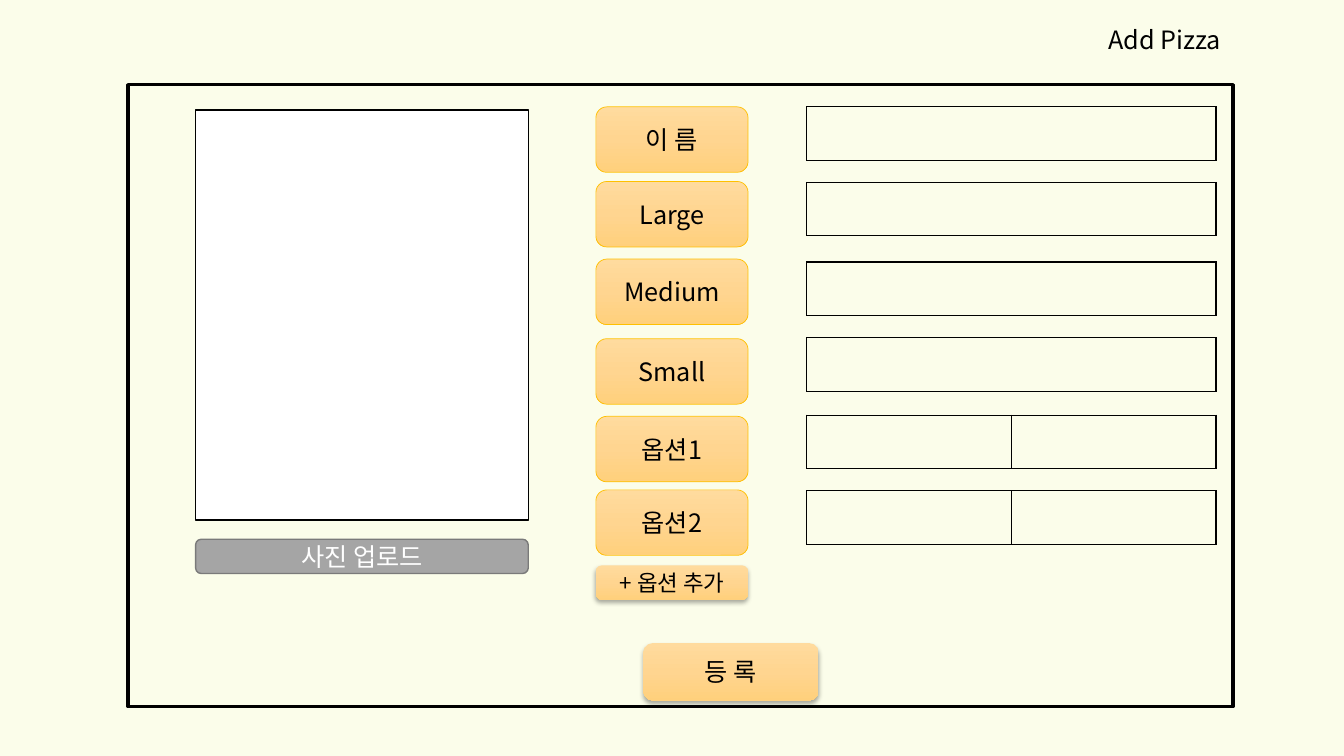
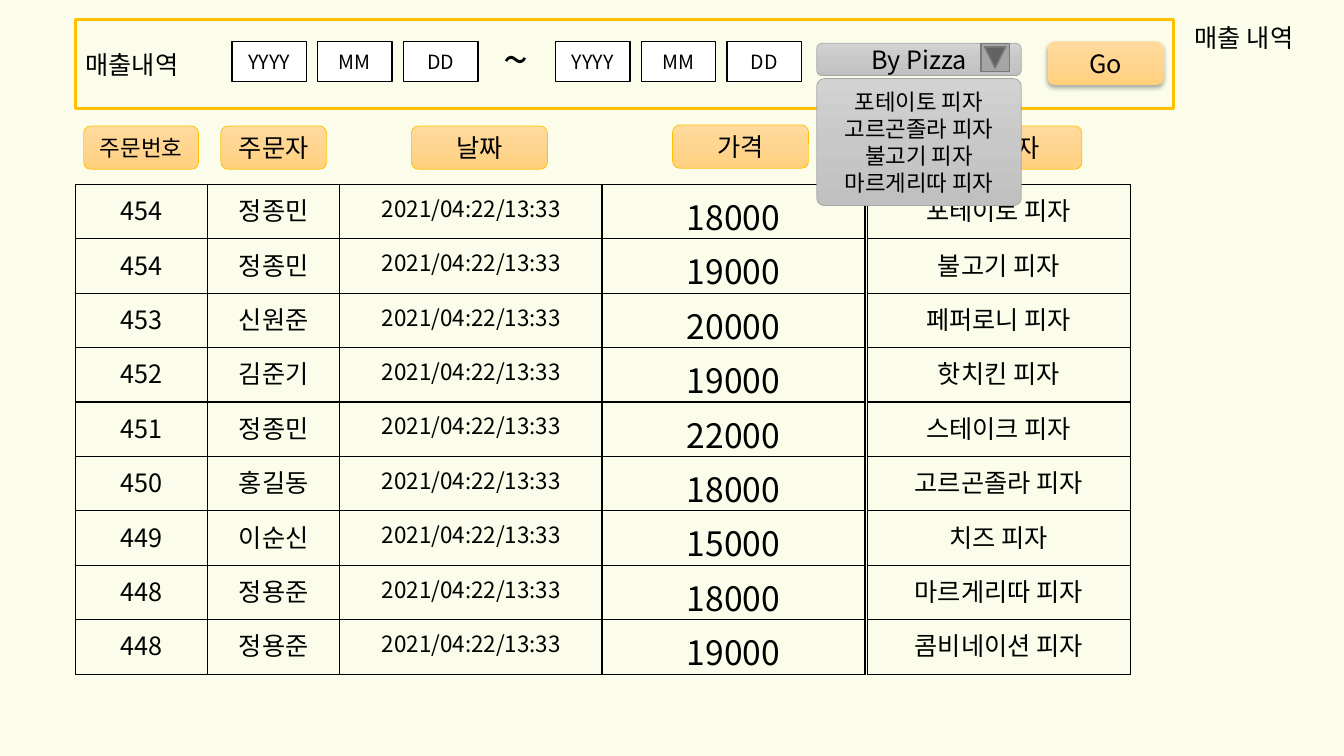
from dataclasses import dataclass
from typing import NamedTuple

from lxml.etree import SubElement
from pptx import Presentation
from pptx.dml.color import RGBColor
from pptx.enum.shapes import MSO_SHAPE
from pptx.enum.text import MSO_ANCHOR, MSO_AUTO_SIZE, PP_ALIGN
from pptx.oxml.ns import qn
from pptx.shapes.autoshape import Shape
from pptx.slide import Slide
from pptx.table import Table, _Cell
from pptx.text.text import TextFrame
from pptx.util import Inches, Pt


@dataclass(frozen=True)
class Theme:
    font: str = "Noto Sans CJK KR"
    page: str = "FBFDEA"
    ink: str = "000000"
    paper: str = "FFFFFF"
    gold: str = "FFC000"
    gray: str = "A5A5A5"
    gray_edge: str = "7A7A7A"
    gold_fade: tuple[str, ...] = ("FFDB9E", "FFD590", "FFD07C")
    gray_fade: tuple[str, ...] = ("D2D2D2", "C8C8C8", "C0C0C0")
    tiny: int = 14
    small: int = 16
    body: int = 18
    price: int = 24
    tilde: int = 32


THEME = Theme()


class Area(NamedTuple):
    left: float
    top: float
    width: float
    height: float

    def emu(self) -> tuple[int, ...]:
        return tuple(Inches(length) for length in self)


class FormRow(NamedTuple):
    label: str
    label_top: float
    field_top: float
    field_count: int = 1


class Heading(NamedTuple):
    text: str
    area: Area
    size: int = THEME.body


class Order(NamedTuple):
    number: str
    customer: str
    price: str
    pizza: str


FORM_ROWS = (
    FormRow("이 름", 1.06, 1.06),
    FormRow("Large", 1.8, 1.81),
    FormRow("Medium", 2.57, 2.6),
    FormRow("Small", 3.36, 3.35),
    FormRow("옵션1", 4.13, 4.12, 2),
    FormRow("옵션2", 4.86, 4.87, 2),
)

HEADINGS = (
    Heading("주문번호", Area(0.83, 1.25, 1.14, 0.43), THEME.small),
    Heading("주문자", Area(2.19, 1.25, 1.05, 0.43)),
    Heading("날짜", Area(4.08, 1.25, 1.35, 0.43)),
    Heading("가격", Area(6.67, 1.24, 1.35, 0.43)),
    Heading("피 자", Area(9.38, 1.25, 1.35, 0.43)),
)

ORDER_TIME = "2021/04:22/13:33"
ORDERS = (
    Order("454", "정종민", "18000", "포테이토 피자"),
    Order("454", "정종민", "19000", "불고기 피자"),
    Order("453", "신원준", "20000", "페퍼로니 피자"),
    Order("452", "김준기", "19000", "핫치킨 피자"),
    Order("451", "정종민", "22000", "스테이크 피자"),
    Order("450", "홍길동", "18000", "고르곤졸라 피자"),
    Order("449", "이순신", "15000", "치즈 피자"),
    Order("448", "정용준", "18000", "마르게리따 피자"),
    Order("448", "정용준", "19000", "콤비네이션 피자"),
)
PIZZA_CHOICES = ("포테이토 피자", "고르곤졸라 피자", "불고기 피자", "마르게리따 피자")


# Shared text, shape and table helpers
def write(frame: TextFrame, text: str, *, size: int = THEME.body,
          color: str = THEME.ink, align: PP_ALIGN = PP_ALIGN.CENTER,
          anchor: MSO_ANCHOR | None = MSO_ANCHOR.MIDDLE, wrap: bool = True) -> None:
    frame.word_wrap = wrap
    if anchor is not None:
        frame.vertical_anchor = anchor
    frame.text = text
    for paragraph in frame.paragraphs:
        paragraph.alignment = align
        for run in paragraph.runs:
            run.font.size = Pt(size)
            run.font.color.rgb = RGBColor.from_string(color)
            run.font.name = THEME.font
            SubElement(run.font._element, qn("a:ea"), typeface=THEME.font)


def fade(shape: Shape, colors: tuple[str, ...]) -> None:
    shape.fill.gradient()
    shape.fill.gradient_angle = 270
    stops = shape._element.spPr.find(".//" + qn("a:gsLst"))
    stops.clear()
    for index, color in enumerate(colors):
        position = index * 100000 // (len(colors) - 1)
        stop = SubElement(stops, qn("a:gs"), pos=str(position))
        SubElement(stop, qn("a:srgbClr"), val=color)


def drop_shadow(shape: Shape) -> None:
    effects = shape._element.spPr.find(qn("a:effectLst"))
    shadow = SubElement(effects, qn("a:outerShdw"), blurRad=str(Pt(3.5)),
                        dist=str(Pt(2.2)), dir="5400000", algn="ctr", rotWithShape="0")
    color = SubElement(shadow, qn("a:srgbClr"), val=THEME.ink)
    SubElement(color, qn("a:alpha"), val="32000")


def box(slide: Slide, area: Area, *, preset: MSO_SHAPE = MSO_SHAPE.RECTANGLE,
        fill: str | tuple[str, ...] | None = None, line: str | None = THEME.ink,
        weight: float = 1) -> Shape:
    shape = slide.shapes.add_shape(preset, *area.emu())
    shape.shadow.inherit = False
    if fill is None:
        shape.fill.background()
    elif isinstance(fill, str):
        shape.fill.solid()
        shape.fill.fore_color.rgb = RGBColor.from_string(fill)
    else:
        fade(shape, fill)
    if line is None:
        shape.line.fill.background()
    else:
        shape.line.color.rgb = RGBColor.from_string(line)
        shape.line.width = Pt(weight)
    return shape


def label(slide: Slide, area: Area, text: str, size: int = THEME.body) -> None:
    tag = box(slide, area, preset=MSO_SHAPE.ROUNDED_RECTANGLE,
              fill=THEME.gold_fade, line=THEME.gold, weight=0.5)
    write(tag.text_frame, text, size=size)


def button(slide: Slide, area: Area, text: str, size: int = THEME.body) -> None:
    key = box(slide, area, preset=MSO_SHAPE.ROUNDED_RECTANGLE,
              fill=THEME.gold_fade, line=None)
    drop_shadow(key)
    write(key.text_frame, text, size=size)


def outline(cell: _Cell) -> None:
    cell.fill.background()
    properties = cell._tc.get_or_add_tcPr()
    for index, side in enumerate(("lnL", "lnR", "lnT", "lnB")):
        edge = SubElement(properties, qn(f"a:{side}"), w=str(Pt(1)))
        ink = SubElement(edge, qn("a:solidFill"))
        SubElement(ink, qn("a:srgbClr"), val=THEME.ink)
        properties.insert(index, edge)


def grid(slide: Slide, left: float, top: float, widths: tuple[float, ...],
         row_height: float, row_count: int = 1) -> Table:
    area = Area(left, top, sum(widths), row_height * row_count)
    table = slide.shapes.add_table(row_count, len(widths), *area.emu()).table
    table.first_row = table.horz_banding = False
    for column, width in zip(table.columns, widths):
        column.width = Inches(width)
    for row in table.rows:
        row.height = Inches(row_height)
        for cell in row.cells:
            outline(cell)
    return table


def order_table(slide: Slide, left: float, widths: tuple[float, ...],
                rows: list[tuple[str, ...]], sizes: tuple[int, ...]) -> None:
    table = grid(slide, left, 1.83, widths, 0.54, len(rows))
    for row, values in zip(table.rows, rows):
        for cell, value, size in zip(row.cells, values, sizes):
            cell.margin_left = cell.margin_right = Inches(0.13)
            cell.margin_top = cell.margin_bottom = Inches(0.07)
            write(cell.text_frame, value, size=size, anchor=None)


def titled_slide(deck: Presentation, text: str, area: Area) -> Slide:
    slide = deck.slides.add_slide(deck.slide_layouts[5])
    title = slide.shapes.title
    title.left, title.top, title.width, title.height = area.emu()
    write(title.text_frame, text, align=PP_ALIGN.LEFT, anchor=MSO_ANCHOR.TOP, wrap=False)
    title.text_frame.auto_size = MSO_AUTO_SIZE.SHAPE_TO_FIT_TEXT
    return slide


# Slide 1: form for a new pizza
def add_pizza_form(deck: Presentation) -> None:
    slide = titled_slide(deck, "Add Pizza", Area(10.89, 0.19, 1.33, 0.4))
    button(slide, Area(6.38, 6.38, 1.74, 0.57), "등 록")
    box(slide, Area(1.27, 0.84, 10.96, 6.17), weight=2.25)

    for row in FORM_ROWS:
        label(slide, Area(5.91, row.label_top, 1.51, 0.65), row.label)
        widths = (4.06 / row.field_count,) * row.field_count
        grid(slide, 8, row.field_top, widths, 0.53)
    button(slide, Area(5.91, 5.61, 1.51, 0.34), "+ 옵션 추가", THEME.small)

    # Photo and its upload button
    box(slide, Area(1.94, 1.09, 3.3, 4.07), fill=THEME.paper)
    upload = box(slide, Area(1.94, 5.35, 3.3, 0.34), preset=MSO_SHAPE.ROUNDED_RECTANGLE,
                 fill=THEME.gray, line=THEME.gray_edge)
    write(upload.text_frame, "사진 업로드", color=THEME.paper)


# Slide 2: sales list with its filter bar
def add_sales_list(deck: Presentation) -> None:
    slide = titled_slide(deck, "매출 내역", Area(11.75, 0.17, 1.3, 0.4))
    for heading in HEADINGS:
        label(slide, heading.area, heading.text, heading.size)

    order_table(slide, 8.6, (2.61,), [(order.pizza,) for order in ORDERS], (THEME.body,))
    order_table(slide, 0.75, (1.31, 1.31, 2.61),
                [(order.number, order.customer, ORDER_TIME) for order in ORDERS],
                (THEME.body, THEME.body, THEME.small))
    order_table(slide, 5.97, (2.61,), [(order.price,) for order in ORDERS], (THEME.price,))

    # Period
    filter_bar = box(slide, Area(0.75, 0.19, 10.89, 0.89), line=THEME.gold, weight=2)
    write(filter_bar.text_frame, "매출내역", align=PP_ALIGN.LEFT)
    for period_left in (2.3, 5.51):
        for index, date_part in enumerate(("YYYY", "MM", "DD")):
            entry = box(slide, Area(period_left + 0.85 * index, 0.41, 0.74, 0.4),
                        fill=THEME.paper)
            write(entry.text_frame, date_part, size=THEME.tiny)
    tilde = slide.shapes.add_textbox(*Area(4.9, 0.27, 0.49, 0.64).emu())
    write(tilde.text_frame, "~", size=THEME.tilde, align=PP_ALIGN.LEFT,
          anchor=MSO_ANCHOR.TOP)

    # Pizza drop-down
    choices = {"By Pizza": (0.43, 0.32, 0.17), "\n".join(PIZZA_CHOICES): (0.78, 1.26, 0.06)}
    for text, (top, height, corner) in choices.items():
        panel = box(slide, Area(8.1, top, 2.03, height), preset=MSO_SHAPE.ROUNDED_RECTANGLE,
                    fill=THEME.gray_fade, line=THEME.gray, weight=0.5)
        panel.adjustments[0] = corner
        write(panel.text_frame, text, size=THEME.small if "\n" in text else THEME.body)
    arrow = box(slide, Area(9.73, 0.43, 0.28, 0.28), fill=THEME.gray, line=THEME.gray_edge,
                preset=MSO_SHAPE.ACTION_BUTTON_BACK_OR_PREVIOUS)
    arrow.rotation = 270
    button(slide, Area(10.39, 0.41, 1.15, 0.43), "Go")


def main() -> None:
    deck = Presentation()
    deck.slide_width, deck.slide_height = Inches(13.33), Inches(7.5)
    backdrop = deck.slide_master.background.fill
    backdrop.solid()
    backdrop.fore_color.rgb = RGBColor.from_string(THEME.page)
    add_pizza_form(deck)
    add_sales_list(deck)
    deck.save("out.pptx")


if __name__ == "__main__":
    main()
